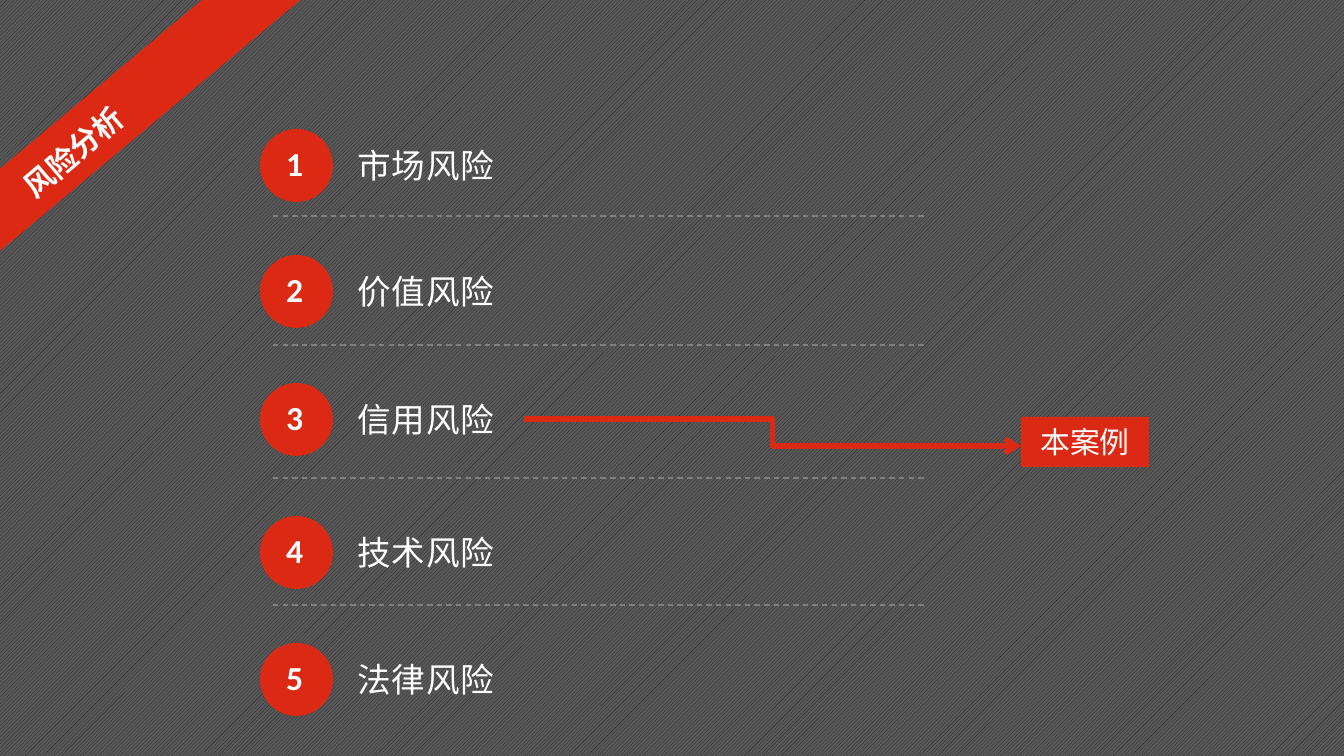
from lxml.etree import SubElement
from pptx import Presentation
from pptx.dml.color import RGBColor
from pptx.enum.dml import MSO_LINE, MSO_PATTERN
from pptx.enum.shapes import MSO_CONNECTOR, MSO_SHAPE
from pptx.enum.text import MSO_ANCHOR, PP_ALIGN
from pptx.oxml.ns import qn
from pptx.util import Emu, Pt

SCALE = 914400 / 134.4
COLORS = {"red": "DB2914", "white": "FFFFFF", "gray": "808080",
          "stripe": "262626", "ground": "595959"}
CHINESE, LATIN = "Noto Sans CJK SC", "Calibri"
RISKS = ["市场风险", "价值风险", "信用风险", "技术风险", "法律风险"]
ROW_TOPS = [129, 255, 383, 516, 643]
DIVIDER_TOPS = [216, 345, 478, 605]


def px(*lengths):
    """Turn pixels into EMU."""
    return [Emu(round(length * SCALE)) for length in lengths]


def color(name):
    """Look up a colour of the palette."""
    return RGBColor.from_string(COLORS[name])


def write(shape, text, size, font=CHINESE, bold=False, spacing=0):
    """Put one white paragraph into a shape and return it."""
    shape.text_frame.word_wrap = True
    paragraph = shape.text_frame.paragraphs[0]
    paragraph.text = text
    paragraph.font.size = Pt(size)
    paragraph.font.bold = bold
    paragraph.font.color.rgb = color("white")
    paragraph.font.name = font
    properties = paragraph._p.pPr.find(qn("a:defRPr"))
    SubElement(properties, qn("a:ea"), typeface=font)
    if spacing:
        properties.set("spc", str(round(spacing * 100)))
    return paragraph


def add_label(slide, box, *args, **options):
    """Add a text box with one paragraph."""
    label = slide.shapes.add_textbox(*px(*box))
    write(label, *args, **options)
    return label


def paint(shape):
    """Make a shape plain red, without outline or shadow."""
    shape.fill.solid()
    shape.fill.fore_color.rgb = color("red")
    shape.line.fill.background()
    shape.shadow.inherit = False
    return shape


def add_line(slide, kind, ends, color_name, width):
    """Add a connector without shadow and return it."""
    line = slide.shapes.add_connector(kind, *px(*ends))
    line.line.color.rgb = color(color_name)
    line.line.width = Pt(width)
    SubElement(line._element.spPr, qn("a:effectLst"))
    return line


def add_ribbon(slide, left, top, width, height):
    """Draw the slanted corner ribbon and its title."""
    builder = slide.shapes.build_freeform(left, top, scale=SCALE)
    builder.add_line_segments([(left + width, top), (left + width, top + height),
                               (left, top + height)])
    paint(builder.convert_to_shape()).rotation = 320.1
    title = add_label(slide, (left + 258, top - 46, 343, 50), "风险分析", 16, bold=True)
    title.rotation = 319.5


def add_risk(slide, left, top, number, risk):
    """Draw one numbered risk from the corner of its disc."""
    paint(slide.shapes.add_shape(MSO_SHAPE.OVAL, *px(left, top, 73, 73)))
    add_label(slide, (left + 13, top + 7, 89, 54), str(number), 18, LATIN, bold=True)
    add_label(slide, (left + 84, top + 9, 593, 54), risk, 18, spacing=0.5)


def add_case(slide, left, top, width, height):
    """Draw the case tag and the arrow that leads to it."""
    arrow = add_line(slide, MSO_CONNECTOR.ELBOW,
                     (left - 497, top + 2, left, top + 29), "red", 2.75)
    SubElement(arrow.line._get_or_add_ln(), qn("a:tailEnd"), type="arrow")
    tag = paint(slide.shapes.add_shape(MSO_SHAPE.RECTANGLE, *px(left, top, width, height)))
    tag.text_frame.vertical_anchor = MSO_ANCHOR.MIDDLE
    write(tag, "本案例", 16).alignment = PP_ALIGN.CENTER


def build_risk_slide(presentation):
    """Build the slide that lists the risks."""
    slide = presentation.slides.add_slide(presentation.slide_layouts[6])
    ground = slide.background.fill
    ground.patterned()
    ground.pattern = MSO_PATTERN.DARK_UPWARD_DIAGONAL
    ground.fore_color.rgb = color("stripe")
    ground.back_color.rgb = color("ground")
    add_ribbon(slide, -281, 109, 728, 63)
    for number, (top, risk) in enumerate(zip(ROW_TOPS, RISKS), 1):
        add_risk(slide, 260, top, number, risk)
    for top in DIVIDER_TOPS:
        divider = add_line(slide, MSO_CONNECTOR.STRAIGHT, (273, top, 926, top), "gray", 0.75)
        divider.line.dash_style = MSO_LINE.DASH
    add_case(slide, 1021, 417, 128, 50)


presentation = Presentation()
presentation.slide_width, presentation.slide_height = px(1344, 756)
build_risk_slide(presentation)
presentation.save("out.pptx")
